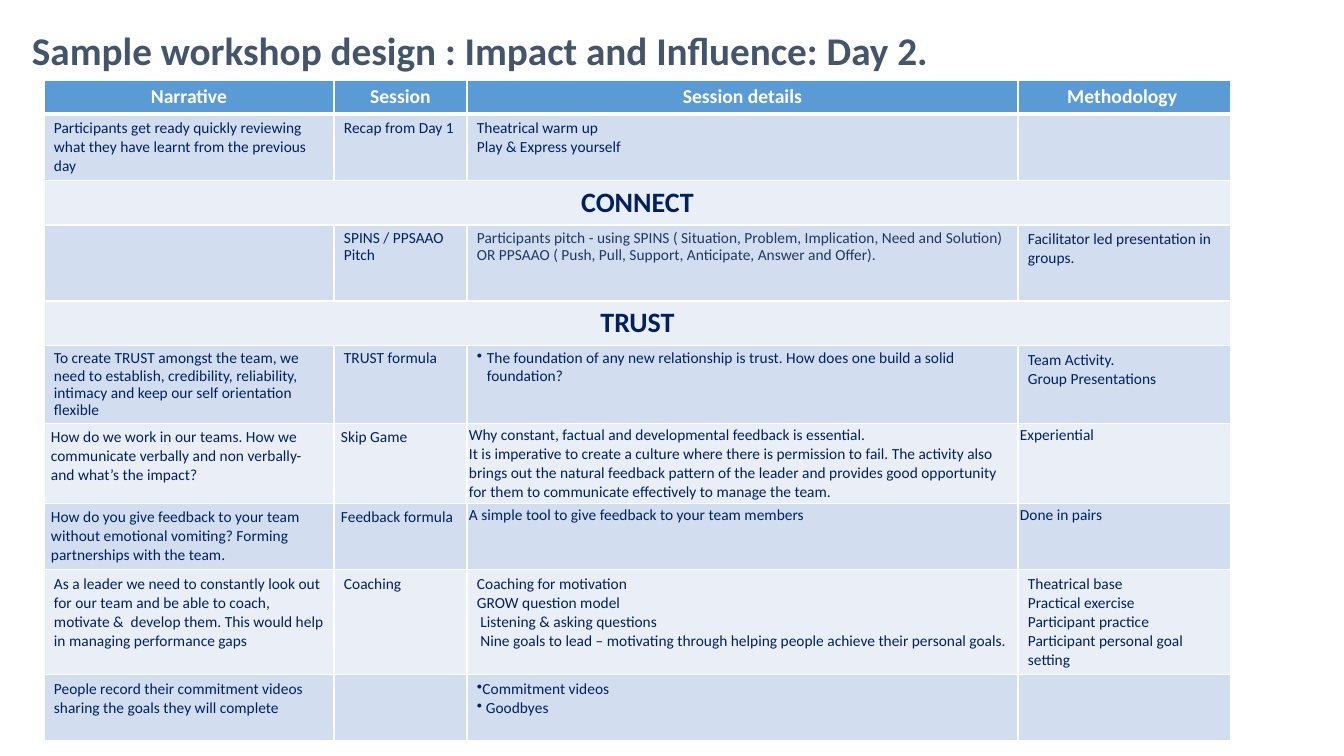
"""Build the Day 2 workshop design slide with its session table."""
from lxml import etree
from pptx import Presentation, util as u
from pptx.dml.color import RGBColor
from pptx.enum import shapes, text
from pptx.oxml import ns

TITLE = "Sample workshop design : Impact and Influence: Day 2."
HEADER = ["Narrative", "Session", "Session details", "Methodology "]
ROWS = [
    ["Participants get ready quickly reviewing what they have learnt from the previous day",
     "Recap from Day 1", "Theatrical warm up\nPlay & Express yourself", ""],
    ["CONNECT"],
    ["", "SPINS / PPSAAO Pitch",
     "Participants pitch - using SPINS ( Situation, Problem, Implication, Need and Solution) "
     "OR PPSAAO ( Push, Pull, Support, Anticipate, Answer and Offer).",
     "Facilitator led presentation in groups."],
    ["TRUST"],
    ["To create TRUST amongst the team, we need to establish, credibility, reliability, "
     "intimacy and keep our self orientation flexible", "TRUST formula",
     "•The foundation of any new relationship is trust. How does one build a solid foundation?",
     "Team Activity.\nGroup Presentations"],
    ["How do we work in our teams. How we communicate verbally and non verbally- "
     "and what’s the impact?", "Skip Game",
     "Why constant, factual and developmental feedback is essential.\n"
     "It is imperative to create a culture where there is permission to fail. The activity also "
     "brings out the natural feedback pattern of the leader and provides good opportunity "
     "for them to communicate effectively to manage the team.", "Experiential"],
    ["How do you give feedback to your team without emotional vomiting? "
     "Forming partnerships with the team.", "Feedback formula",
     "A simple tool to give feedback to your team members", "Done in pairs"],
    ["As a leader we need to constantly look out for our team and be able to coach, "
     "motivate &  develop them. This would help in managing performance gaps", "Coaching",
     "Coaching for motivation\nGROW question model\n Listening & asking questions\n"
     " Nine goals to lead – motivating through helping people achieve their personal goals.",
     "Theatrical base\nPractical exercise\nParticipant practice\n"
     "Participant personal goal setting"],
    ["People record their commitment videos sharing the goals they will complete", "",
     "•Commitment videos\n• Goodbyes", ""],
]
SLIDE = (1344, 756)
TITLE_BOX = (19, 18, 1267, 64)
TABLE_AT = (44, 80)
COLUMNS = [290, 133, 551, 213]
HEIGHTS = [33, 66, 44, 76, 44, 77, 77, 66, 102, 66]
TIGHT_LINES = {(3, 1), (3, 2), (5, 0), (5, 1), (5, 2)}
HANGING = {(5, 2): 10}
NARROW_ROWS = {6, 7}
THEME = {
    "font": "Calibri",
    "title": {"size": 28, "bold": True, "color": "44546A"},
    "header": {"size": 14, "bold": True, "color": "FFFFFF"},
    "section": {"size": 20, "bold": True, "color": "002060"},
    "body": {"size": 11, "bold": False, "color": "002060"},
    "pitch": {"size": 11, "bold": False, "color": "203864"},
    "header_fill": "5B9BD5",
    "bands": ["EAEFF7", "D2DEEF"],
    "border": "FFFFFF",
}


def px(length):
    return u.Emu(round(length * 914400 / 100.8))


def set_all(target, values):
    for name, value in values.items():
        setattr(target, name, value)


def write(paragraph, words, style):
    run = paragraph.add_run()
    run.text = words
    look = THEME[style]
    set_all(run.font, {"name": THEME["font"], "size": u.Pt(look["size"]), "bold": look["bold"]})
    run.font.color.rgb = RGBColor.from_string(look["color"])


def add_bullet(paragraph, hang):
    properties = paragraph._p.get_or_add_pPr()
    properties.set("marL", str(px(hang)))
    properties.set("indent", str(-px(hang)))
    etree.SubElement(properties, ns.qn("a:buChar"), char="•")


def add_borders(cell, row):
    properties = cell._tc.get_or_add_tcPr()
    thick = {"T": row == 1, "B": row == 0}
    for index, side in enumerate("LRTB"):
        width = u.Pt(3 if thick.get(side) else 1)
        line = etree.Element(ns.qn(f"a:ln{side}"), w=str(width))
        fill = etree.SubElement(line, ns.qn("a:solidFill"))
        etree.SubElement(fill, ns.qn("a:srgbClr"), val=THEME["border"])
        properties.insert(index, line)


def fill_cell(cell, row, column, content, style):
    color = THEME["bands"][row % 2] if row else THEME["header_fill"]
    cell.fill.solid()
    cell.fill.fore_color.rgb = RGBColor.from_string(color)
    add_borders(cell, row)
    across, down = (10, 5)
    if row in NARROW_ROWS:
        across, down = (7, 4) if column < 2 else (2, 2)
    set_all(cell, {"margin_left": px(across), "margin_right": px(across),
                   "margin_top": px(down), "margin_bottom": px(down)})
    for index, words in enumerate(content.split("\n") if content else []):
        frame = cell.text_frame
        paragraph = frame.add_paragraph() if index else frame.paragraphs[0]
        if style in ("header", "section"):
            paragraph.alignment = text.PP_ALIGN.CENTER
        if (row, column) in TIGHT_LINES:
            paragraph.line_spacing = 0.9
        if words.startswith("•"):
            add_bullet(paragraph, HANGING.get((row, column), 0))
        write(paragraph, words.removeprefix("•"), style)


def add_title(slide):
    shape = slide.shapes.add_shape(shapes.MSO_SHAPE.ROUNDED_RECTANGLE, *map(px, TITLE_BOX))
    shape.shadow.inherit = False
    shape.fill.background()
    shape.line.fill.background()
    set_all(shape.text_frame, {"word_wrap": True, "vertical_anchor": text.MSO_ANCHOR.MIDDLE})
    paragraph = shape.text_frame.paragraphs[0]
    paragraph.alignment = text.PP_ALIGN.LEFT
    write(paragraph, TITLE, "title")


def add_sessions(slide):
    box = (*TABLE_AT, sum(COLUMNS), sum(HEIGHTS))
    table = slide.shapes.add_table(len(HEIGHTS), len(COLUMNS), *map(px, box)).table
    set_all(table, {"first_row": False, "horz_banding": False})
    for column, width in zip(table.columns, COLUMNS):
        column.width = px(width)
    for row, (height, contents) in enumerate(zip(HEIGHTS, [HEADER, *ROWS])):
        table.rows[row].height = px(height)
        section = len(contents) == 1
        if section:
            table.cell(row, 0).merge(table.cell(row, len(COLUMNS) - 1))
        for column in range(len(COLUMNS)):
            content = contents[column] if column < len(contents) else ""
            style = "header" if row == 0 else "section" if section else "body"
            if (row, column) == (3, 2):
                style = "pitch"
            fill_cell(table.cell(row, column), row, column, content, style)


def main():
    presentation = Presentation()
    set_all(presentation, {"slide_width": px(SLIDE[0]), "slide_height": px(SLIDE[1])})
    slide = presentation.slides.add_slide(presentation.slide_layouts[6])
    add_title(slide)
    add_sessions(slide)
    presentation.save("out.pptx")


if __name__ == "__main__":
    main()
